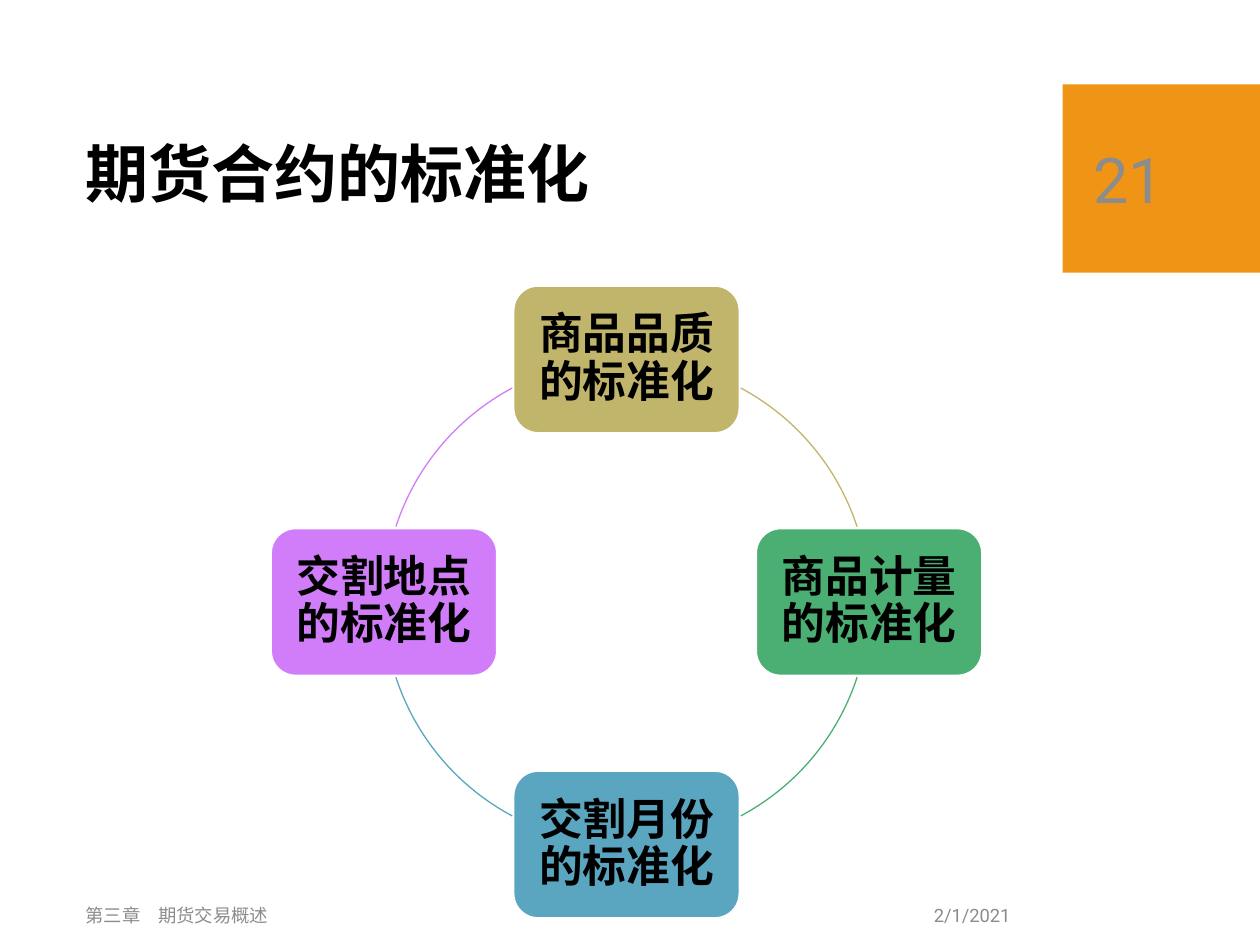
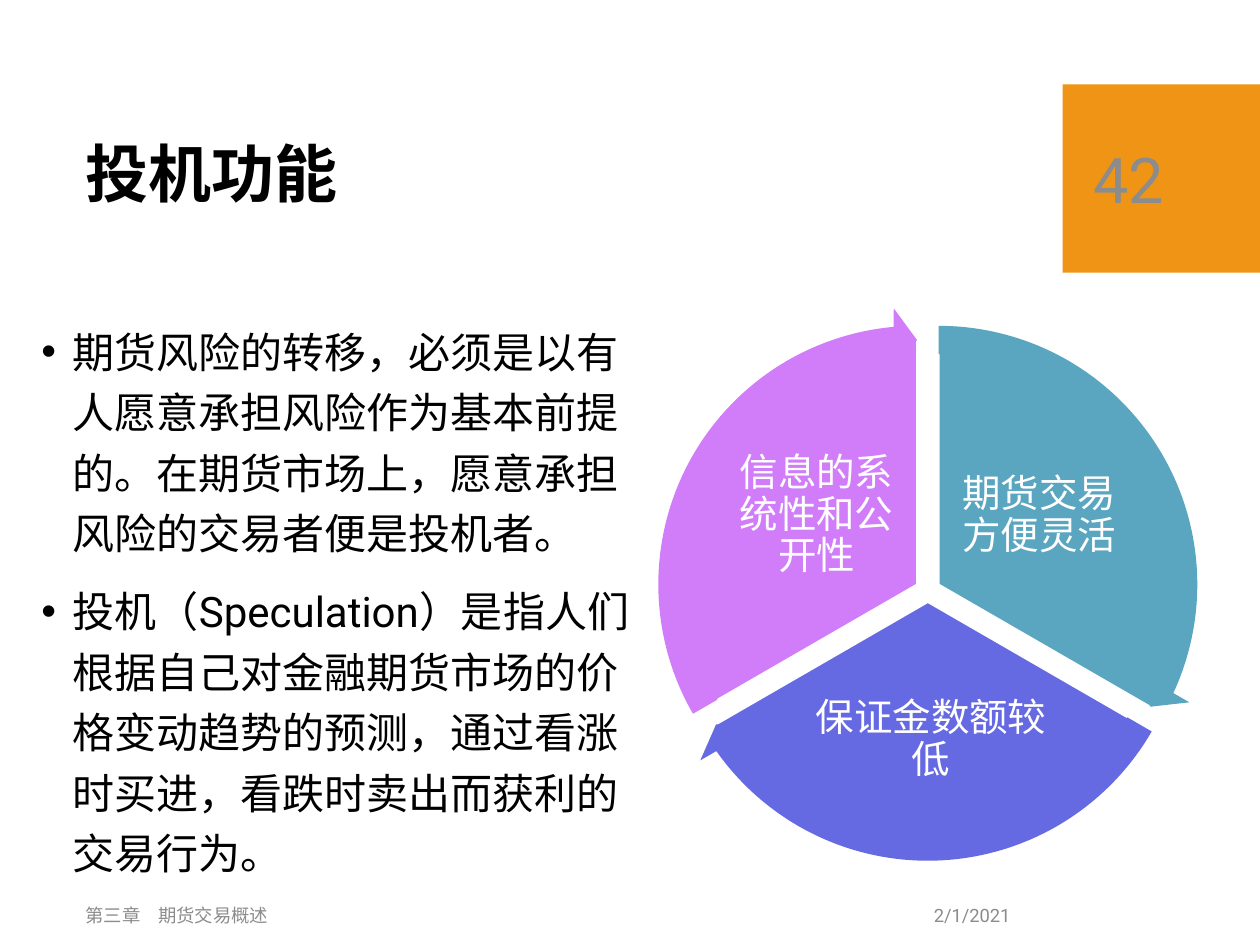
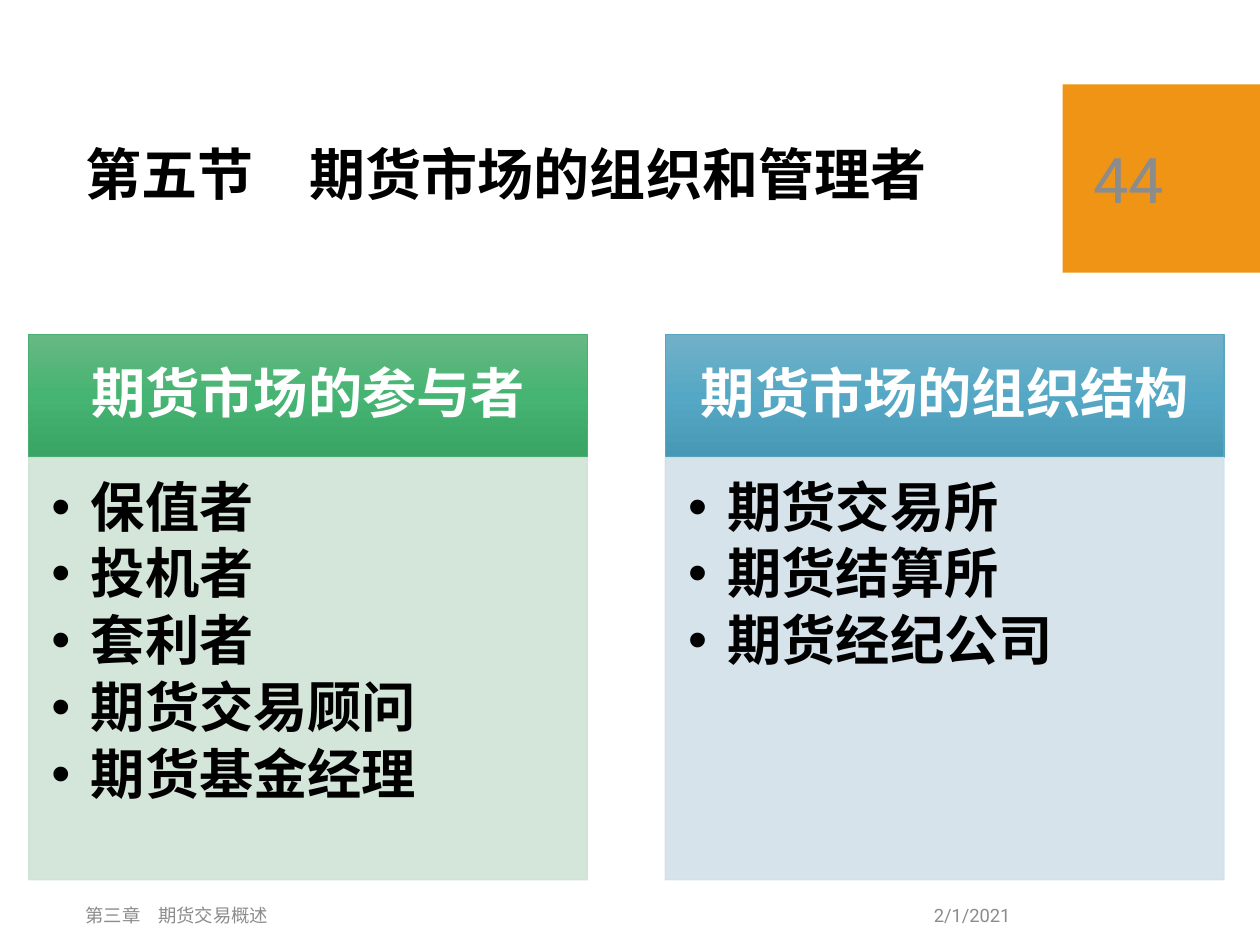
from dataclasses import dataclass

from copy import deepcopy
from lxml import etree
from pptx import Presentation
from pptx.dml.color import RGBColor
from pptx.enum.shapes import MSO_SHAPE
from pptx.enum.text import MSO_ANCHOR, MSO_AUTO_SIZE, PP_ALIGN
from pptx.oxml.ns import qn
from pptx.util import Pt

LEFT, CENTER, RIGHT = PP_ALIGN.LEFT, PP_ALIGN.CENTER, PP_ALIGN.RIGHT
TOP, MIDDLE = MSO_ANCHOR.TOP, MSO_ANCHOR.MIDDLE
RECTANGLE, ROUNDED = MSO_SHAPE.RECTANGLE, MSO_SHAPE.ROUNDED_RECTANGLE
ARC, PIE, ARROW = MSO_SHAPE.ARC, MSO_SHAPE.PIE, MSO_SHAPE.CIRCULAR_ARROW
TITLE_ONLY = 5


@dataclass(frozen=True)
class Theme:
    font: str = "Roboto"
    black: str = "000000"
    white: str = "FFFFFF"
    grey: str = "8C8C8C"
    orange: str = "F09415"
    sand: str = "C1B56B"
    green: str = "4BAF73"
    blue: str = "5AA6C0"
    purple: str = "D17DF9"
    indigo: str = "666AE2"
    pale_green: str = "D0E3D5"
    pale_blue: str = "D2E1E8"
    green_gradient: tuple = ("67B884", "46B472", "3AA464")
    blue_gradient: tuple = ("71B0C8", "55A8C5", "4798B4")
    number_size: float = 36
    footer_size: float = 10.5
    body_size: float = 24
    cycle_size: float = 25
    sector_size: float = 22
    column_size: float = 31


THEME = Theme()

# Content; every box is left, top, width, height in points
FOOTER = "第三章　期货交易概述"
DATE = "2/1/2021"
BAND_BOX = (607.2, 48.2, 112.8, 107.6)
TITLE_BOX = (41.8, 59, 542.9, 85)
NUMBER_BOX = (617.8, 59, 91.4, 85.7)
FOOTER_BOX = (41.8, 508.3, 380.9, 28.8)
DATE_BOX = (422.6, 508.3, 162, 28.8)

STANDARDS = [  # clockwise from the top
    ("商品品质的标准化", THEME.sand),
    ("商品计量的标准化", THEME.green),
    ("交割月份的标准化", THEME.blue),
    ("交割地点的标准化", THEME.purple),
]
CYCLE_CENTER = (358, 344)
CYCLE_RADIUS = 138.6
STANDARD_SIZE = (129, 84)
GAP_AT_SIDE, GAP_AT_TOP = 18.1, 28.1  # degrees hidden by the boxes

SPECULATION = [
    "期货风险的转移，必须是以有人愿意承担风险作为基本前提的。在期货市场上，愿意承担风险的交易者便是投机者。",
    "投机（Speculation）是指人们根据自己对金融期货市场的价格变动趋势的预测，通过看涨时买进，看跌时卖出而获利的交易行为。",
]
SPECULATION_BOX = (16.6, 177.1, 350.6, 346.3)

SECTORS = [  # text, colour, shift, pie angles, arrow angles, text box
    ("期货交易方便灵活", THEME.blue, (6.2, 0), (270, 30),
     (24.54, 269.99), (543.6, 252.7, 100.8, 84.2)),
    ("保证金数额较低", THEME.indigo, (0, 10.1), (30, 150),
     (144.53, 30.01), (456.5, 385.9, 151.2, 74.2)),
    ("信息的系统性和公开性", THEME.purple, (-6.2, 0), (150, 270),
     (264.55, 150), (416.2, 252.7, 100.8, 84.2)),
]
PIE_CENTER = (530.2, 334)
PIE_DIAMETER, ARROW_DIAMETER = 282.2, 316.8

COLUMNS = [  # heading, items, gradient, edge, body colour
    ("期货市场的参与者",
     ["保值者", "投机者", "套利者", "期货交易顾问", "期货基金经理"],
     THEME.green_gradient, THEME.green, THEME.pale_green),
    ("期货市场的组织结构",
     ["期货交易所", "期货结算所", "期货经纪公司"],
     THEME.blue_gradient, THEME.blue, THEME.pale_blue),
]
COLUMN_LEFT, COLUMN_TOP, COLUMN_STEP, COLUMN_WIDTH = 16.4, 191.2, 363.8, 319.2
HEADING_HEIGHT, COLUMN_BODY_HEIGHT = 70.2, 241.4


def points(values):
    return [Pt(value) for value in values]


def centered_box(center_x, center_y, width, height):
    return center_x - width / 2, center_y - height / 2, width, height


def angle(degrees):
    """Convert degrees to the scale of an angle adjustment."""
    return degrees * 0.6


def add_bullet(paragraph, indent):
    properties = paragraph._p.get_or_add_pPr()
    properties.set("marL", str(Pt(indent)))
    properties.set("indent", str(-Pt(indent)))
    etree.SubElement(properties, qn("a:buFont")).set("typeface", "Arial")
    etree.SubElement(properties, qn("a:buChar")).set("char", "•")


def write(shape, lines, size, color=THEME.black, bold=False, align=LEFT,
          anchor=MIDDLE, insets=(7.2, 3.6, 7.2, 3.6), spacing=1.0,
          before=0, after=0, indent=0):
    frame = shape.text_frame
    frame.text = "\n".join(lines)
    frame.word_wrap = True
    frame.auto_size = MSO_AUTO_SIZE.NONE
    frame.vertical_anchor = anchor
    (frame.margin_left, frame.margin_top,
     frame.margin_right, frame.margin_bottom) = points(insets)
    for paragraph in frame.paragraphs:
        paragraph.alignment = align
        paragraph.line_spacing = spacing
        paragraph.space_before = Pt(before)
        paragraph.space_after = Pt(after)
        if indent:
            add_bullet(paragraph, indent)
        for run in paragraph.runs:
            run.font.name = THEME.font
            run.font.size = Pt(size)
            run.font.bold = bold
            run.font.color.rgb = RGBColor.from_string(color)
            east_asian = etree.SubElement(run._r.get_or_add_rPr(), qn("a:ea"))
            east_asian.set("typeface", THEME.font)


def add_text(slide, box, lines, size, **style):
    write(slide.shapes.add_textbox(*points(box)), lines, size, **style)


def add_figure(slide, kind, box, fill=None, line=None, width=1, adjustments=()):
    shape = slide.shapes.add_shape(kind, *points(box))
    shape.shadow.inherit = False
    for index, value in enumerate(adjustments):
        shape.adjustments[index] = value
    if fill:
        shape.fill.solid()
        shape.fill.fore_color.rgb = RGBColor.from_string(fill)
    else:
        shape.fill.background()
    if line:
        shape.line.color.rgb = RGBColor.from_string(line)
        shape.line.width = Pt(width)
    else:
        shape.line.fill.background()
    return shape


def fill_gradient(shape, colors):
    """Fill from top to bottom with evenly spaced colours."""
    shape.fill.gradient()
    shape.fill.gradient_angle = 270
    stop_list = shape._element.spPr.find(qn("a:gradFill")).find(qn("a:gsLst"))
    while len(stop_list) < len(colors):
        stop_list.append(deepcopy(stop_list[0]))
    for index, (stop, color) in enumerate(zip(shape.fill.gradient_stops, colors)):
        stop.position = index / (len(colors) - 1)
        stop.color.rgb = RGBColor.from_string(color)


def set_opacity(shape, percent):
    for color in list(shape._element.spPr.iter(qn("a:srgbClr"))):
        etree.SubElement(color, qn("a:alpha")).set("val", str(percent * 1000))


def add_slide(presentation, title, number, title_size=36):
    slide = presentation.slides.add_slide(presentation.slide_layouts[TITLE_ONLY])
    heading = slide.shapes.title
    heading.left, heading.top, heading.width, heading.height = points(TITLE_BOX)
    write(heading, [title], title_size, bold=True, spacing=0.9)
    add_figure(slide, RECTANGLE, BAND_BOX, THEME.orange)
    add_text(slide, NUMBER_BOX, [number], THEME.number_size, color=THEME.grey)
    add_text(slide, FOOTER_BOX, [FOOTER], THEME.footer_size, color=THEME.grey)
    add_text(slide, DATE_BOX, [DATE], THEME.footer_size, color=THEME.grey, align=RIGHT)
    return slide


def add_standards_cycle(slide):
    center_x, center_y = CYCLE_CENTER
    directions = [(0, -1), (1, 0), (0, 1), (-1, 0)]
    ring = centered_box(center_x, center_y, 2 * CYCLE_RADIUS, 2 * CYCLE_RADIUS)
    for index, ((text, color), (x, y)) in enumerate(zip(STANDARDS, directions)):
        box = centered_box(center_x + x * CYCLE_RADIUS,
                           center_y + y * CYCLE_RADIUS, *STANDARD_SIZE)
        shape = add_figure(slide, ROUNDED, box, color, THEME.white)
        write(shape, [text], THEME.cycle_size, bold=True, align=CENTER,
              insets=(7.2,) * 4, spacing=0.9)
        gaps = (GAP_AT_TOP, GAP_AT_SIDE)
        start = (270 + 90 * index) % 360
        sweep = (angle(start + gaps[index % 2]),
                 angle(start + 90 - gaps[(index + 1) % 2]))
        add_figure(slide, ARC, ring, line=color, width=0.75, adjustments=sweep)


def add_sector_cycle(slide):
    arrows = []
    for text, color, (shift_x, shift_y), pie, arrow, text_box in SECTORS:
        center = (PIE_CENTER[0] + shift_x, PIE_CENTER[1] + shift_y)
        add_figure(slide, PIE, centered_box(*center, PIE_DIAMETER, PIE_DIAMETER),
                   color, THEME.white, adjustments=map(angle, pie))
        add_text(slide, text_box, [text], THEME.sector_size, color=THEME.white,
                 align=CENTER, insets=(2.2,) * 4, spacing=0.9)
        arrows.append((center, color, arrow))
    for center, color, (end, start) in arrows:
        add_figure(slide, ARROW,
                   centered_box(*center, ARROW_DIAMETER, ARROW_DIAMETER), color,
                   adjustments=(0.051, angle(5.46), angle(end), angle(start), 0.059))


def add_columns(slide):
    for index, (heading, items, gradient, edge, pale) in enumerate(COLUMNS):
        left = COLUMN_LEFT + index * COLUMN_STEP
        header = add_figure(slide, RECTANGLE,
                            (left, COLUMN_TOP, COLUMN_WIDTH, HEADING_HEIGHT),
                            edge, edge, 0.75)
        fill_gradient(header, gradient)
        write(header, [heading], THEME.column_size, color=THEME.white, bold=True,
              align=CENTER, insets=(17.3, 10.1, 17.3, 10.1), spacing=0.9)
        body = add_figure(slide, RECTANGLE,
                          (left, COLUMN_TOP + HEADING_HEIGHT,
                           COLUMN_WIDTH, COLUMN_BODY_HEIGHT), pale, pale, 0.75)
        set_opacity(body, 90)
        write(body, items, THEME.column_size, bold=True, anchor=TOP,
              insets=(13, 13, 17.3, 19.4), spacing=0.9, after=4.65, indent=22.5)


def main():
    presentation = Presentation()
    presentation.slide_width, presentation.slide_height = Pt(720), Pt(540)

    add_standards_cycle(add_slide(presentation, "期货合约的标准化", "21"))

    speculation = add_slide(presentation, "投机功能", "42")
    add_text(speculation, SPECULATION_BOX, SPECULATION, THEME.body_size,
             anchor=TOP, spacing=1.2, before=10, indent=18)
    add_sector_cycle(speculation)

    add_columns(add_slide(presentation, "第五节　期货市场的组织和管理者", "44", 32))

    presentation.save("out.pptx")


if __name__ == "__main__":
    main()
